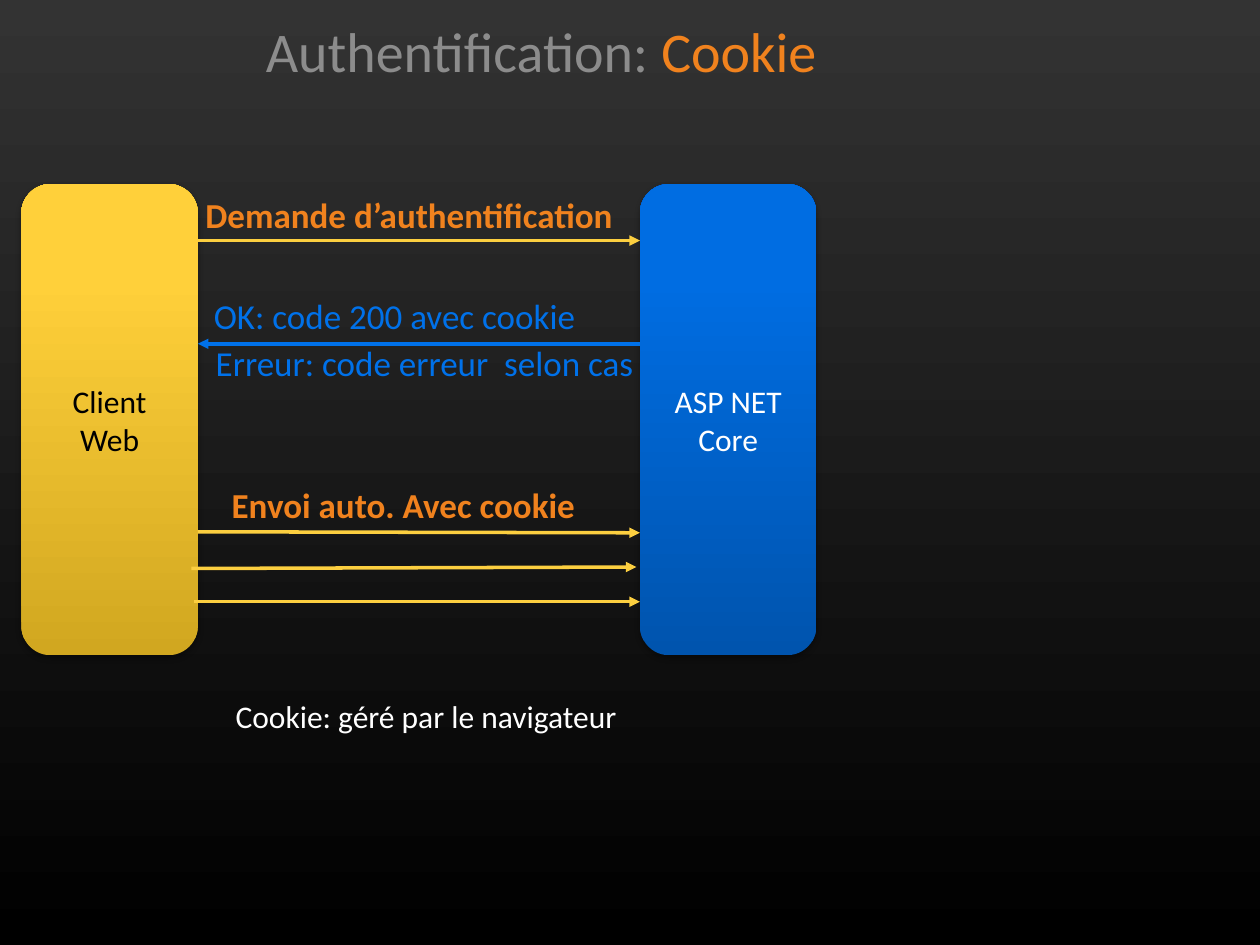
"""Build a slide showing cookie authentication between a client and a server."""
from dataclasses import dataclass

from lxml import etree
from pptx import Presentation
from pptx import util as u
from pptx.dml.color import RGBColor
from pptx.enum import shapes, text
from pptx.oxml import ns


@dataclass(frozen=True)
class Theme:
    """Colours, gradients, font and type sizes of the slide."""
    font: str = "Calibri"
    title_size: int = 32
    label_size: int = 20
    body_size: int = 18
    grey: str = "8C8C8C"
    orange: str = "F0821E"
    yellow: str = "FCCF40"
    blue: str = "0071E9"
    white: str = "FFFFFF"
    black: str = "000000"
    backdrop: tuple = ("333333", "000000")
    client: tuple = ("D1A720", "FFD03A")
    server: tuple = ("0054AE", "006DE2")


THEME = Theme()
CLIENT_EDGE, SERVER_EDGE = 3.99, 12.9


def fill_gradient(fill, colours, end, angle):
    """Fill with two colours, the second reached at the given end position."""
    fill.gradient()
    fill.gradient_angle = angle
    for stop, colour, position in zip(fill.gradient_stops, colours, (0, end)):
        stop.color.rgb = RGBColor.from_string(colour)
        stop.position = position


def style_span(span, size, colour, bold=False):
    """Set the font of one run."""
    span.font.name = THEME.font
    span.font.size = u.Pt(size)
    span.font.bold = bold
    span.font.color.rgb = RGBColor.from_string(colour)


def add_shadow(box):
    """Give a shape a soft shadow below it."""
    box.shadow.inherit = False
    effects = box.element.spPr.find(ns.qn("a:effectLst"))
    shadow = etree.SubElement(
        effects, ns.qn("a:outerShdw"), blurRad=str(u.Pt(3.1)),
        dist=str(u.Pt(1.8)), dir="5400000", rotWithShape="0")
    colour = etree.SubElement(shadow, ns.qn("a:srgbClr"), val=THEME.black)
    etree.SubElement(colour, ns.qn("a:alpha"), val="35000")


def add_party(page, name, left, gradient, colour):
    """Add a rounded box for one side of the exchange."""
    box = page.shapes.add_shape(
        shapes.MSO_SHAPE.ROUNDED_RECTANGLE,
        u.Cm(left), u.Cm(3.71), u.Cm(3.56), u.Cm(9.5))
    fill_gradient(box.fill, gradient, 0.8, 90)
    box.line.fill.background()
    add_shadow(box)
    box.text_frame.text = name
    box.text_frame.vertical_anchor = text.MSO_ANCHOR.MIDDLE
    para = box.text_frame.paragraphs[0]
    para.alignment = text.PP_ALIGN.CENTER
    style_span(para.runs[0], THEME.body_size, colour)


def add_arrow(group, start, end, colour):
    """Add a straight arrow between two points."""
    arrow = group.shapes.add_connector(
        shapes.MSO_CONNECTOR.STRAIGHT, *map(u.Cm, start + end))
    arrow.line.width = u.Pt(2)
    arrow.line.color.rgb = RGBColor.from_string(colour)
    etree.SubElement(arrow.line._get_or_add_ln(), ns.qn("a:tailEnd"), type="triangle")
    etree.SubElement(arrow.element.spPr, ns.qn("a:effectLst"))


def add_label(group, wording, place, colour, size=THEME.label_size, bold=False, wrap=True):
    """Add a one-line text box that grows with its text."""
    box = group.shapes.add_textbox(*map(u.Cm, place))
    box.text_frame.text = wording
    box.text_frame.word_wrap = wrap
    box.text_frame.auto_size = text.MSO_AUTO_SIZE.SHAPE_TO_FIT_TEXT
    style_span(box.text_frame.paragraphs[0].runs[0], size, colour, bold)


def add_title(page, parts):
    """Add the centred title from pairs of wording and colour."""
    box = page.shapes.add_textbox(u.Cm(0.43), u.Cm(0.2), u.Cm(20.96), u.Cm(15.88))
    box.text_frame.word_wrap = True
    para = box.text_frame.paragraphs[0]
    para.alignment = text.PP_ALIGN.CENTER
    for wording, colour in parts:
        span = para.add_run()
        span.text = wording
        style_span(span, THEME.title_size, colour)


def add_exchange(page, arrows, labels, arrow_colour, label_colour, bold):
    """Group the arrows of one exchange with their labels."""
    group = page.shapes.add_group_shape()
    for start, end in arrows:
        add_arrow(group, start, end, arrow_colour)
    for wording, place in labels:
        add_label(group, wording, place, label_colour, bold=bold)


def main():
    """Build and save the deck."""
    deck = Presentation()
    deck.slide_width, deck.slide_height = u.Cm(25.4), u.Cm(19.05)
    page = deck.slides.add_slide(deck.slide_layouts[6])
    fill_gradient(page.background.fill, THEME.backdrop, 1, 270)

    add_title(page, [("Authentification: ", THEME.grey), ("Cookie", THEME.orange)])
    add_party(page, "Client Web", 0.43, THEME.client, THEME.black)
    add_party(page, "ASP NET Core", SERVER_EDGE, THEME.server, THEME.white)

    add_exchange(
        page,
        [((CLIENT_EDGE, 4.85), (SERVER_EDGE, 4.85))],
        [("Demande d’authentification", (3.89, 3.78, 8.92, 1.11))],
        THEME.yellow, THEME.orange, True)
    add_exchange(
        page,
        [((CLIENT_EDGE, 10.72), (SERVER_EDGE, 10.74)),
         ((3.86, 11.46), (12.83, 11.43)),
         ((3.91, 12.13), (SERVER_EDGE, 12.13))],
        [("Envoi auto. Avec cookie", (4.42, 9.63, 8.28, 1.11))],
        THEME.yellow, THEME.orange, True)
    add_exchange(
        page,
        [((SERVER_EDGE, 6.93), (CLIENT_EDGE, 6.93))],
        [("OK: code 200 avec cookie", (4.06, 5.82, 8.92, 1.11)),
         ("Erreur: code erreur  selon cas", (4.1, 6.76, 9.07, 1.11))],
        THEME.blue, THEME.blue, False)

    add_label(page, "Cookie: géré par le navigateur", (4.5, 13.92, 8.28, 1.02),
              THEME.white, THEME.body_size, wrap=False)
    deck.save("out.pptx")


if __name__ == "__main__":
    main()
